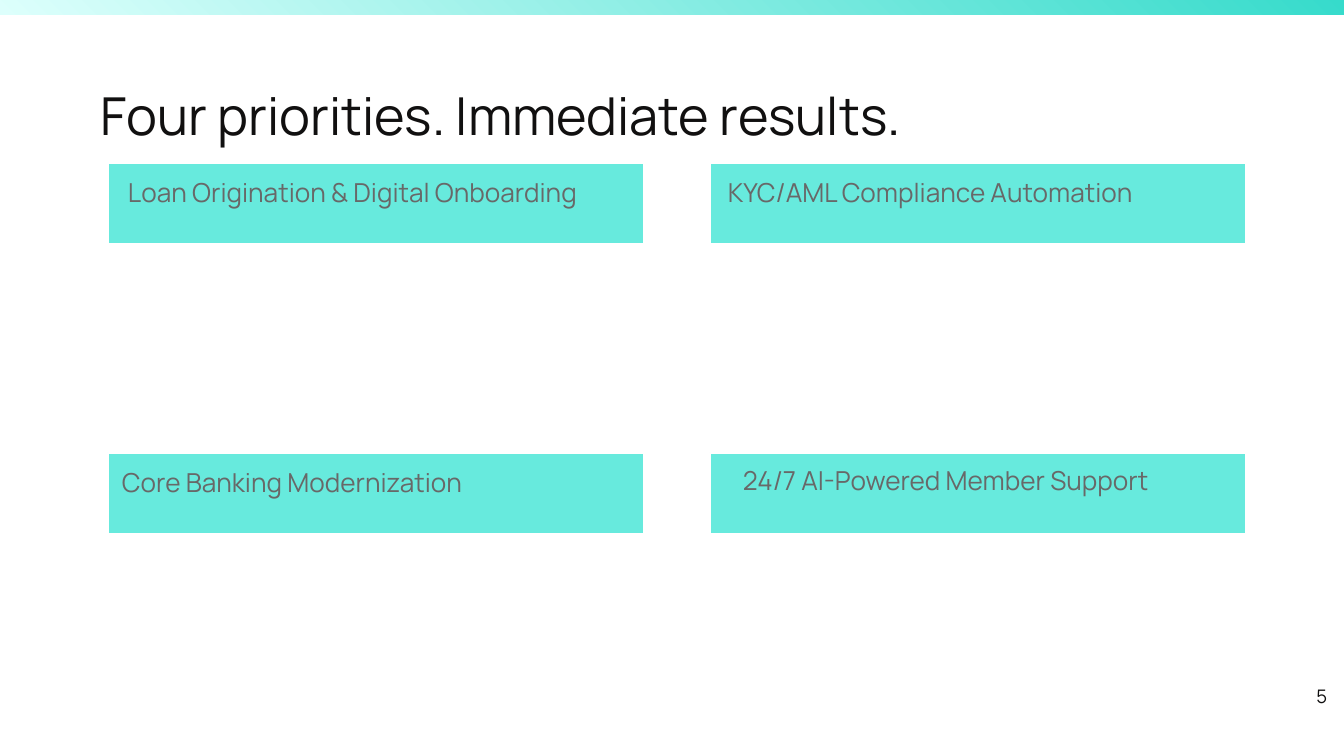
from pptx import Presentation
from pptx.dml.color import RGBColor
from pptx.enum.shapes import MSO_SHAPE as Shape
from pptx.enum.text import MSO_ANCHOR as Anchor, MSO_AUTO_SIZE as AutoSize, PP_ALIGN as Align
from pptx.util import Pt

EMU_PER_PX = 914400 / 134.4
FONT = "Manrope"
COLORS = {
    "card": "67EADD",
    "border": "FFFFFF",
    "ink": "111010",
    "label": "686868",
    "band_start": "DDFFFC",
    "band_end": "36DBCB",
}


def px(length):
    return round(length * EMU_PER_PX)


def rgb(key):
    return RGBColor.from_string(COLORS[key])


def add_text(slide, box, text, size, color):
    frame = slide.shapes.add_textbox(*map(px, box)).text_frame
    frame.word_wrap = True
    frame.auto_size = AutoSize.SHAPE_TO_FIT_TEXT
    frame.margin_left = frame.margin_right = 0
    frame.margin_top = frame.margin_bottom = 0
    frame.text = text
    font = frame.paragraphs[0].runs[0].font
    font.name = FONT
    font.size = Pt(size)
    font.color.rgb = rgb(color)
    return frame


def add_band(slide, box):
    band = slide.shapes.add_shape(Shape.RECTANGLE, *map(px, box))
    band.shadow.inherit = False
    band.line.fill.background()
    band.fill.gradient()
    band.fill.gradient_angle = 45
    for stop, key in zip(band.fill.gradient_stops, ("band_start", "band_end")):
        stop.color.rgb = rgb(key)


def add_priority(slide, box, label, dx, dy, label_width, indent):
    left, top, _, _ = box
    card = slide.shapes.add_shape(Shape.RECTANGLE, *map(px, box))
    card.shadow.inherit = False
    card.fill.solid()
    card.fill.fore_color.rgb = rgb("card")
    card.line.color.rgb = rgb("border")
    card.line.width = Pt(0.75)

    label_box = (left + dx, top + dy, label_width, 32)
    paragraph = add_text(slide, label_box, label, 14, "label").paragraphs[0]
    paragraph.line_spacing = 1.15
    paragraph.space_after = Pt(12)
    if indent:
        properties = paragraph._p.get_or_add_pPr()
        properties.set("marL", str(px(indent)))
        properties.set("indent", "0")


def add_priorities(slide, box):
    left, top, width, height = box
    card_width, card_height = 536, 81
    priorities = [
        ("Loan Origination & Digital Onboarding", -7, 9, 528, 27),
        ("KYC/AML Compliance Automation", 18, 9, 452, 0),
        ("Core Banking Modernization", 14, 9, 587, 0),
        ("24/7 AI-Powered Member Support", 33, 7, 587, 0),
    ]
    for index, priority in enumerate(priorities):
        row, column = divmod(index, 2)
        card_box = (
            left + column * (width - card_width),
            top + row * (height - card_height),
            card_width,
            card_height,
        )
        add_priority(slide, card_box, *priority)


def add_page_number(slide, box):
    frame = add_text(slide, box, "5", 10, "ink")
    frame.vertical_anchor = Anchor.MIDDLE
    frame.paragraphs[0].alignment = Align.RIGHT


def main():
    deck = Presentation()
    deck.slide_width, deck.slide_height = px(1344), px(756)
    slide = deck.slides.add_slide(deck.slide_layouts[6])
    add_band(slide, (0, -1, 1345, 16))
    add_text(slide, (101, 83, 1253, 63), "Four priorities. Immediate results.", 28, "ink")
    add_priorities(slide, (108, 163, 1138, 371))
    add_page_number(slide, (1246, 685, 81, 23))
    deck.save("out.pptx")


if __name__ == "__main__":
    main()
